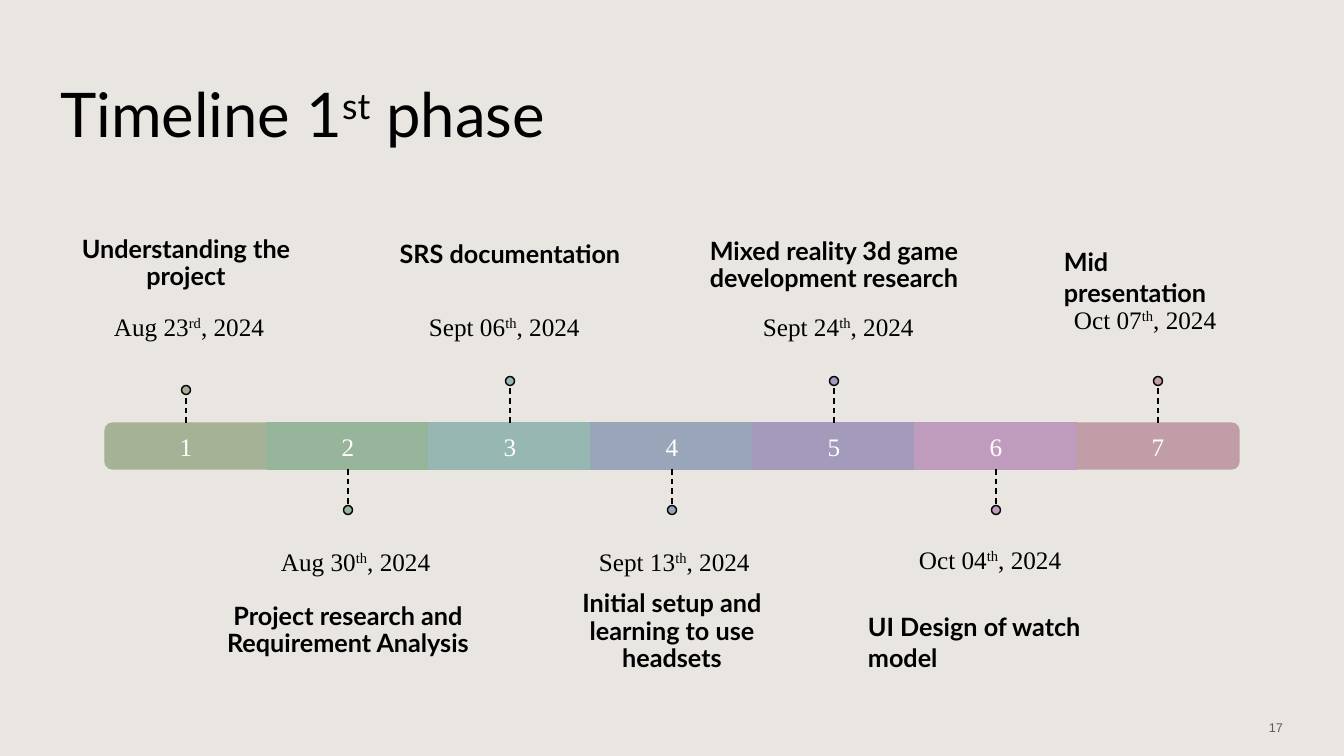
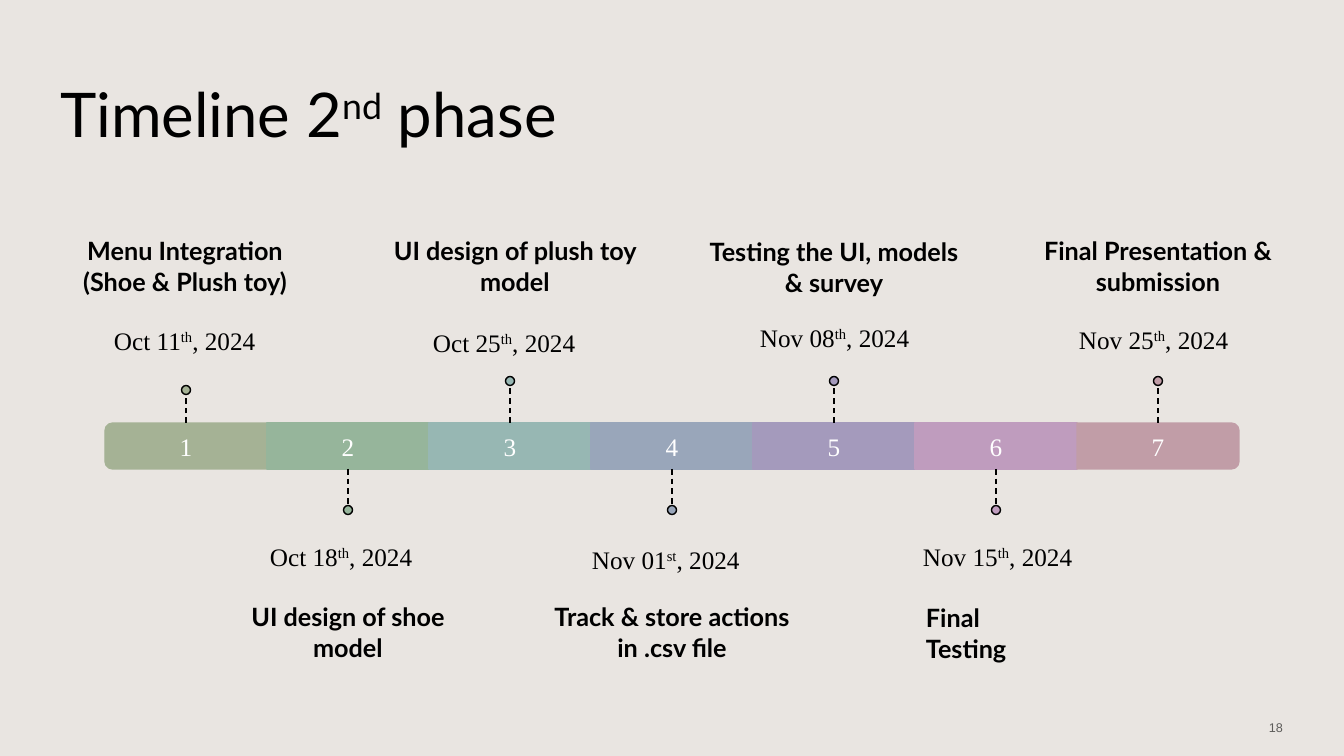
from typing import NamedTuple

from lxml import etree
from pptx import Presentation
from pptx import util as u
from pptx.dml.color import RGBColor
from pptx.enum import dml, shapes, text
from pptx.oxml.ns import qn

BACKGROUND = RGBColor(0xE9, 0xE5, 0xE1)
BLACK = RGBColor(0, 0, 0)
WHITE = RGBColor(255, 255, 255)
GREY = RGBColor(0x5D, 0x5C, 0x5A)
STEP_COLOURS = [RGBColor.from_string(code) for code in (
    "A5B295", "96B59B", "97B7B3", "99A6BA", "A49ABC", "BF9CBE", "C19DA7")]

HEADING_FONT, DATE_FONT, NUMBER_FONT = "Lato", "Times New Roman", "Arial"
LEFT, CENTRE, RIGHT = text.PP_ALIGN.LEFT, text.PP_ALIGN.CENTER, text.PP_ALIGN.RIGHT
TOP, MIDDLE = text.MSO_ANCHOR.TOP, text.MSO_ANCHOR.MIDDLE

SLIDE_W, SLIDE_H = 1344, 756
STEP_W, BAR_TOP, BAR_H = 162, 423, 46
BAR_LEFT = (SLIDE_W - STEP_W * len(STEP_COLOURS)) // 2
DOT, DOT_FIRST_Y, DOT_ABOVE_Y, DOT_BELOW_Y = 9, 390, 381, 510
CAPTION_W, CAPTION_H = 270, 90
DATE_W, DATE_H = 180, 40


class Milestone(NamedTuple):
    caption: str
    caption_middle: int
    date: tuple  # before, raised, after
    date_left: int
    date_top: int
    caption_left: int | None = None
    caption_width: int = CAPTION_W
    caption_align: text.PP_ALIGN = CENTRE


PHASES = [
    (("Timeline 1", "st", " phase"), 17, 0.9, [
        Milestone("Understanding the project", 264, ("Aug 23", "rd", ", 2024"), 104, 306),
        Milestone("Project research and Requirement Analysis", 631,
                  ("Aug 30", "th", ", 2024"), 271, 541),
        Milestone("SRS documentation", 255, ("Sept 06", "th", ", 2024"), 419, 306),
        Milestone("Initial setup and learning to use headsets", 632,
                  ("Sept 13", "th", ", 2024"), 589, 541),
        Milestone("Mixed reality 3d game development research", 266,
                  ("Sept 24", "th", ", 2024"), 753, 306),
        Milestone("UI Design of watch model", 642, ("Oct 04", "th", ", 2024"), 909, 539,
                  858, 245, LEFT),
        Milestone("Mid presentation", 277, ("Oct 07", "th", ", 2024"), 1064, 299,
                  1054, 180, LEFT),
    ]),
    (("Timeline 2", "nd", " phase"), 18, 1.0, [
        Milestone("Menu Integration (Shoe & Plush toy)", 266,
                  ("Oct 11", "th", ", 2024"), 104, 320, 50),
        Milestone("UI design of shoe model", 632, ("Oct 18", "th", ", 2024"), 260, 536),
        Milestone("UI design of plush toy model", 266,
                  ("Oct 25", "th", ", 2024"), 423, 322, 380),
        Milestone("Track & store actions in .csv file", 632,
                  ("Nov 01", "st", ", 2024"), 582, 539),
        Milestone("Testing the UI, models & survey", 267,
                  ("Nov 08", "th", ", 2024"), 750, 317),
        Milestone("Final Testing", 633, ("Nov 15", "th", ", 2024"), 913, 536,
                  916, 120, LEFT),
        Milestone("Final Presentation & submission", 266,
                  ("Nov 25", "th", ", 2024"), 1069, 319),
    ]),
]


def px(*lengths):
    return [u.Emu(round(length * 12192000 / SLIDE_W)) for length in lengths]


def write(frame, parts, font, size, colour=BLACK, align=LEFT, anchor=TOP,
          bold=False, spacing=1.0, side=10):
    """Fill a frame with one paragraph; the second part, if any, is superscript."""
    frame.word_wrap = True
    frame.vertical_anchor = anchor
    frame.margin_left, frame.margin_right = px(side, side)
    frame.margin_top, frame.margin_bottom = px(5, 5)
    paragraph = frame.paragraphs[0]
    paragraph.alignment = align
    paragraph.line_spacing = spacing
    paragraph.font.name, paragraph.font.size = font, u.Pt(size)
    paragraph.font.bold = bold
    paragraph.font.color.rgb = colour
    for index, part in enumerate(parts):
        run = paragraph.add_run()
        run.text = part
        if index == 1:
            run.font._element.set("baseline", "30000")


def add_text(slide, box, *args, **style):
    write(slide.shapes.add_textbox(*px(*box)).text_frame, *args, **style)


def add_filled(slide, preset, box, fill, line):
    shape = slide.shapes.add_shape(preset, *px(*box))
    shape.shadow.inherit = False
    shape.fill.solid()
    shape.fill.fore_color.rgb = fill
    shape.line.color.rgb = line
    shape.line.width = u.Pt(1)
    return shape


def add_step(slide, index, colour):
    """Draw one numbered part of the bar; the two end parts have rounded outer corners."""
    left = BAR_LEFT + index * STEP_W
    box = (left, BAR_TOP, STEP_W, BAR_H)
    style = dict(colour=WHITE, align=CENTRE, anchor=MIDDLE, side=3)
    number = [str(index + 1)]
    if 0 < index < len(STEP_COLOURS) - 1:
        step = add_filled(slide, shapes.MSO_SHAPE.RECTANGLE, box, colour, colour)
        write(step.text_frame, number, DATE_FONT, 18, **style)
        return step
    inset = (STEP_W - BAR_H) // 2
    end = add_filled(slide, shapes.MSO_SHAPE.ROUND_2_SAME_RECTANGLE,
                     (left + inset, BAR_TOP - inset, BAR_H, STEP_W), colour, colour)
    end.rotation = 90 if index else 270
    add_text(slide, box, number, DATE_FONT, 18, **style)
    return end


def add_pin(slide, index, step, colour):
    """Draw the dashed line and dot, above the bar for odd numbers and below for even."""
    x = BAR_LEFT + index * STEP_W + STEP_W // 2
    below = index % 2 == 1
    if below:
        bar_y, dot_y = BAR_TOP + BAR_H, DOT_BELOW_Y
    else:
        bar_y, dot_y = BAR_TOP, DOT_ABOVE_Y if index else DOT_FIRST_Y
    stem = slide.shapes.add_connector(shapes.MSO_CONNECTOR.STRAIGHT,
                                      *px(x, bar_y, x, dot_y))
    if not step.rotation:
        stem.begin_connect(step, 2 if below else 0)
    stem.line.color.rgb = BLACK
    stem.line.width = u.Pt(1)
    stem.line.dash_style = dml.MSO_LINE.DASH
    etree.SubElement(stem._element.spPr, qn("a:effectLst"))
    add_filled(slide, shapes.MSO_SHAPE.OVAL,
               (x - DOT / 2, dot_y - DOT / 2, DOT, DOT), colour, BLACK)
    return x


def add_phase(prs, title_parts, page, spacing, milestones):
    slide = prs.slides.add_slide(prs.slide_layouts[5])
    title = slide.shapes.title
    title.left, title.top, title.width, title.height = px(50, 40, 1202, 146)
    write(title.text_frame, title_parts, HEADING_FONT, 44, anchor=MIDDLE)
    add_text(slide, (991, 708, 302, 40), [str(page)], NUMBER_FONT, 9,
             colour=GREY, align=RIGHT, anchor=MIDDLE)

    for index, (milestone, colour) in enumerate(zip(milestones, STEP_COLOURS)):
        step = add_step(slide, index, colour)
        x = add_pin(slide, index, step, colour)
        left, width = milestone.caption_left, milestone.caption_width
        if left is None:
            left = x - width // 2
        add_text(slide, (left, milestone.caption_middle - CAPTION_H // 2, width, CAPTION_H),
                 [milestone.caption], HEADING_FONT, 18, align=milestone.caption_align,
                 anchor=MIDDLE, bold=True, side=5 if milestone.caption_align == CENTRE else 10,
                 spacing=spacing if milestone.caption_align == CENTRE else 1.0)
        add_text(slide, (milestone.date_left, milestone.date_top, DATE_W, DATE_H),
                 milestone.date, DATE_FONT, 18)


def main():
    prs = Presentation()
    prs.slide_width, prs.slide_height = px(SLIDE_W, SLIDE_H)
    backdrop = prs.slide_master.background.fill
    backdrop.solid()
    backdrop.fore_color.rgb = BACKGROUND
    for phase in PHASES:
        add_phase(prs, *phase)
    prs.save("out.pptx")


if __name__ == "__main__":
    main()
